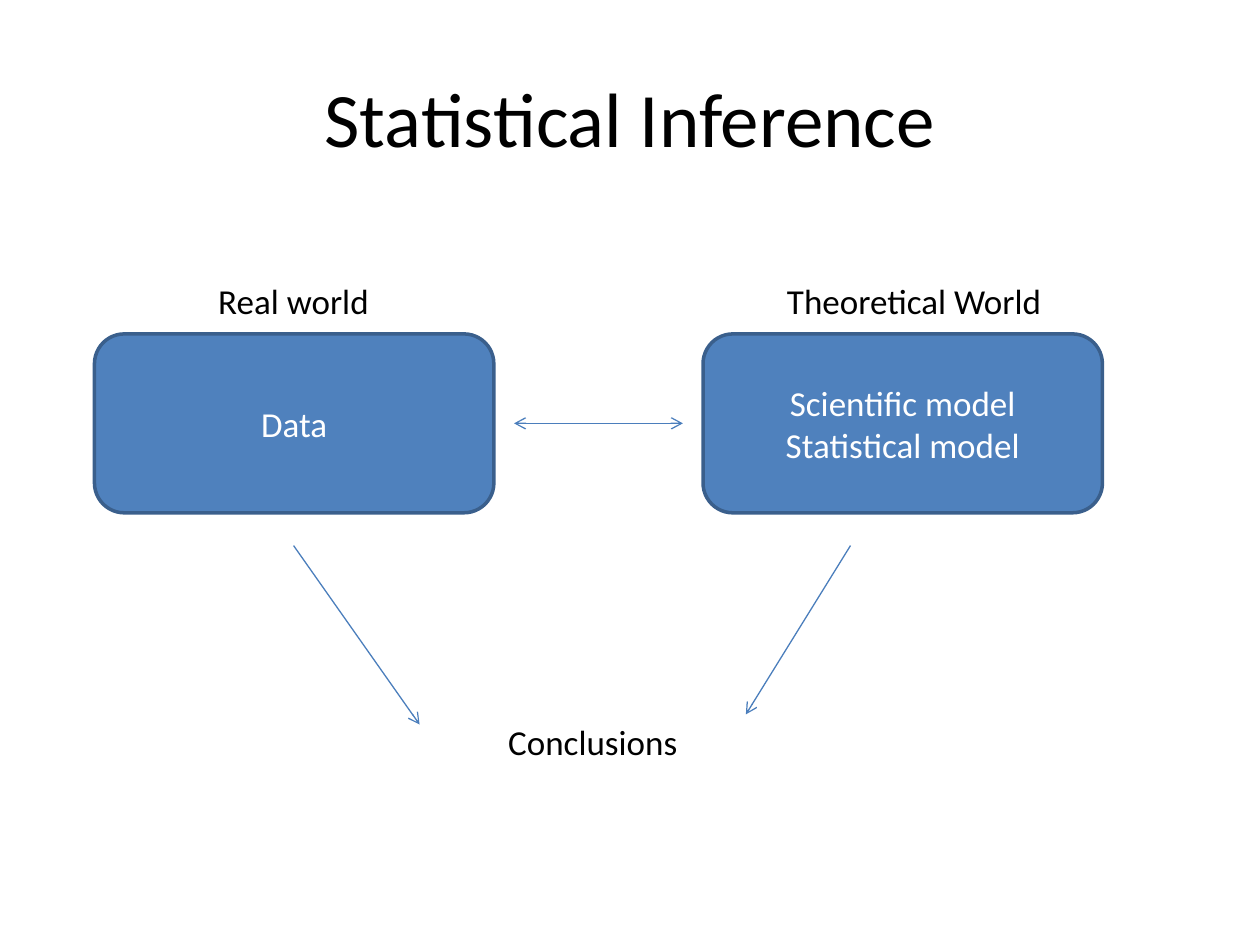
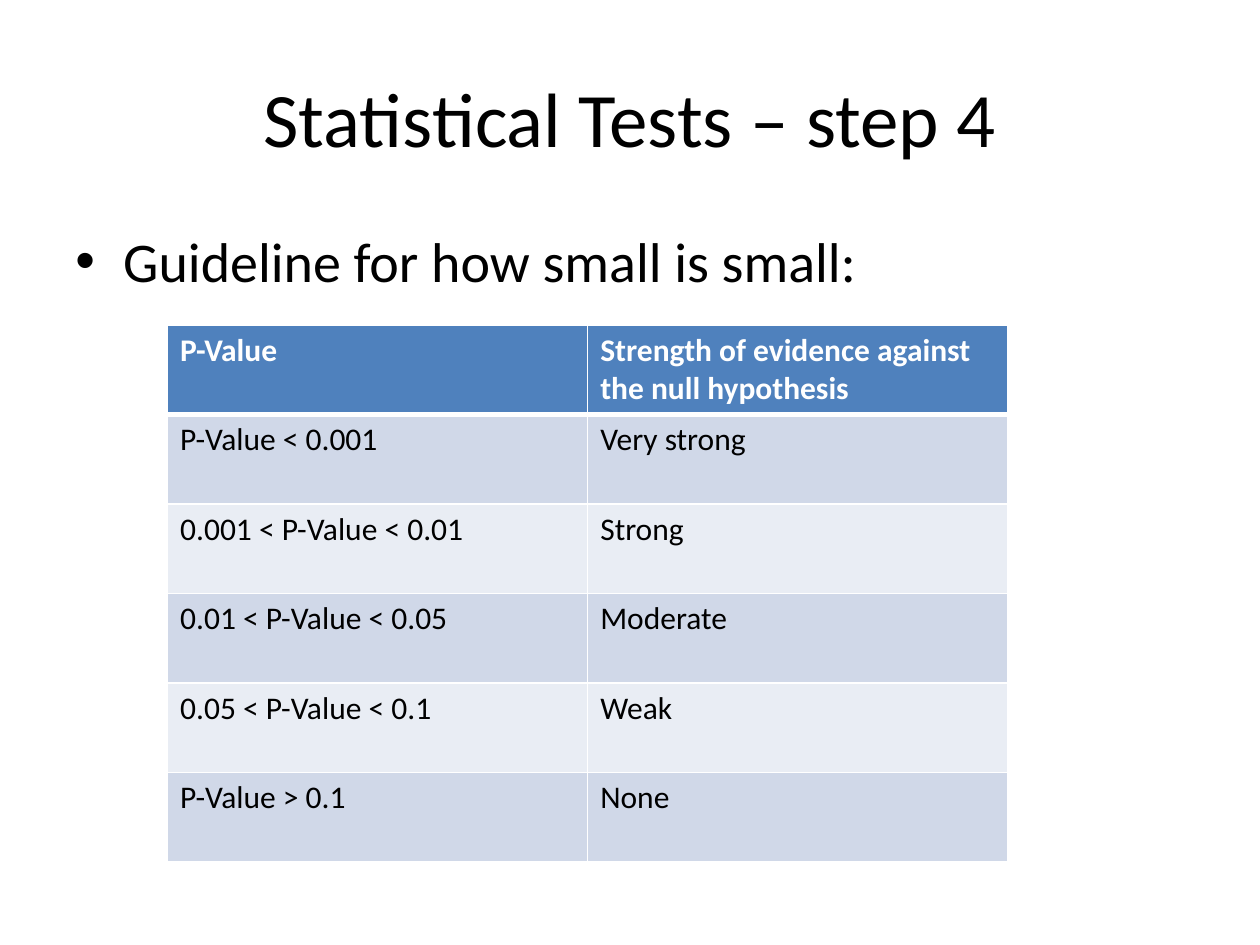
from lxml import etree
from pptx import Presentation
from pptx.dml.color import RGBColor
from pptx.enum.shapes import MSO_CONNECTOR, MSO_SHAPE
from pptx.enum.text import MSO_ANCHOR, PP_ALIGN
from pptx.oxml.ns import qn
from pptx.util import Inches, Pt

STRAIGHT = MSO_CONNECTOR.STRAIGHT
ROUNDED = MSO_SHAPE.ROUNDED_RECTANGLE
MIDDLE, TOP = MSO_ANCHOR.MIDDLE, MSO_ANCHOR.TOP
CENTER, LEFT = PP_ALIGN.CENTER, PP_ALIGN.LEFT

FONT = "Calibri"
BLACK = RGBColor(0x00, 0x00, 0x00)
WHITE = RGBColor(0xFF, 0xFF, 0xFF)
BLUE = RGBColor(0x4F, 0x81, 0xBD)
DARK_BLUE = RGBColor(0x3A, 0x5F, 0x8C)
ARROW_BLUE = RGBColor(0x4B, 0x7E, 0xBC)
BANDS = (RGBColor(0xD0, 0xD8, 0xE8), RGBColor(0xE9, 0xED, 0xF4))

BOX_TOP, BOX_WIDTH, BOX_HEIGHT = 2.65, 3.17, 1.42
ROW_HEIGHT = 0.71
EVIDENCE = (
    ("P-Value", "Strength of evidence against the null hypothesis"),
    ("P-Value < 0.001", "Very strong"),
    ("0.001 < P-Value < 0.01", "Strong"),
    ("0.01 < P-Value < 0.05", "Moderate"),
    ("0.05 < P-Value < 0.1", "Weak"),
    ("P-Value > 0.1", "None"),
)


def write_text(frame, text, size, color=BLACK, align=CENTER, bold=False):
    """Fill a text frame, one paragraph to each line of text."""
    frame.word_wrap = True
    frame.text = text
    for paragraph in frame.paragraphs:
        paragraph.alignment = align
        font = paragraph.font
        font.name, font.size, font.bold = FONT, Pt(size), bold
        font.color.rgb = color


def add_text(slide, text, left, top, width, height, size=20, anchor=TOP, align=CENTER):
    """Add a text box and return its text frame."""
    shape = slide.shapes.add_textbox(
        Inches(left), Inches(top), Inches(width), Inches(height))
    write_text(shape.text_frame, text, size, align=align)
    shape.text_frame.vertical_anchor = anchor
    return shape.text_frame


def add_titled_slide(presentation, title):
    """Add a blank slide with the shared title style."""
    slide = presentation.slides.add_slide(presentation.slide_layouts[6])
    add_text(slide, title, 0.5, 0.3, 9, 1.25, size=44, anchor=MIDDLE)
    return slide


def add_box(slide, text, left):
    """Add a rounded blue box in the row of worlds."""
    shape = slide.shapes.add_shape(
        ROUNDED, Inches(left), Inches(BOX_TOP), Inches(BOX_WIDTH), Inches(BOX_HEIGHT))
    shape.shadow.inherit = False
    shape.fill.solid()
    shape.fill.fore_color.rgb = BLUE
    shape.line.color.rgb = DARK_BLUE
    shape.line.width = Pt(2)
    write_text(shape.text_frame, text, 20, WHITE)
    shape.text_frame.vertical_anchor = MIDDLE


def add_arrow(slide, start, end, ends=("tailEnd",)):
    """Add a thin line with open arrowheads at the named ends."""
    connector = slide.shapes.add_connector(STRAIGHT, *map(Inches, start + end))
    connector.line.color.rgb = ARROW_BLUE
    connector.line.width = Pt(0.75)
    properties = connector._element.spPr
    for name in ends:
        etree.SubElement(properties.find(qn("a:ln")), qn("a:" + name), type="arrow")
    etree.SubElement(properties, qn("a:effectLst"))


def add_bullet(paragraph, indent):
    """Give a paragraph a round bullet with a hanging indent."""
    properties = paragraph._p.get_or_add_pPr()
    properties.set("marL", str(Inches(indent)))
    properties.set("indent", str(-Inches(indent)))
    etree.SubElement(properties, qn("a:buFont"), typeface="Arial")
    etree.SubElement(properties, qn("a:buChar"), char="•")
    defaults = properties.find(qn("a:defRPr"))
    if defaults is not None:
        properties.append(defaults)


def add_border(cell, side, width):
    """Add a white border to one side of a cell."""
    line = etree.SubElement(
        cell._tc.get_or_add_tcPr(), qn("a:ln" + side), w=str(Pt(width)))
    fill = etree.SubElement(line, qn("a:solidFill"))
    etree.SubElement(fill, qn("a:srgbClr"), val=str(WHITE))


def add_evidence_table(slide, rows, left, top, width):
    """Add a table with a blue header and banded rows."""
    table = slide.shapes.add_table(
        len(rows), len(rows[0]), Inches(left), Inches(top),
        Inches(width), Inches(ROW_HEIGHT * len(rows))).table
    for row_index, texts in enumerate(rows):
        header = row_index == 0
        for column_index, text in enumerate(texts):
            cell = table.cell(row_index, column_index)
            write_text(cell.text_frame, text, 18, WHITE if header else BLACK, LEFT, header)
            add_border(cell, "L", 1)
            add_border(cell, "R", 1)
            add_border(cell, "T", 3 if row_index == 1 else 1)
            add_border(cell, "B", 3 if header else 1)
            cell.fill.solid()
            cell.fill.fore_color.rgb = BLUE if header else BANDS[(row_index - 1) % 2]


def build_inference_slide(presentation):
    """Build the diagram of the real and theoretical worlds."""
    slide = add_titled_slide(presentation, "Statistical Inference")
    add_box(slide, "Data", 0.75)
    add_box(slide, "Scientific model\nStatistical model", 5.58)
    add_text(slide, "Real world", 1.08, 2.17, 2.5, 0.44)
    add_text(slide, "Theoretical World", 5.92, 2.17, 2.67, 0.44)
    middle = BOX_TOP + BOX_HEIGHT / 2
    add_arrow(slide, (4.08, middle), (5.42, middle), ("headEnd", "tailEnd"))
    add_arrow(slide, (6.75, 4.33), (5.92, 5.67))
    add_arrow(slide, (2.33, 4.33), (3.33, 5.75))
    add_text(slide, "Conclusions", 3.58, 5.67, 2.25, 0.44)


def build_tests_slide(presentation):
    """Build the guideline for reading p-values."""
    slide = add_titled_slide(presentation, "Statistical Tests – step 4")
    frame = add_text(slide, "Guideline for how small is small:",
                     0.5, 1.75, 9, 4.95, size=32, align=LEFT)
    frame.paragraphs[0].space_before = Pt(6.4)
    add_bullet(frame.paragraphs[0], 0.38)
    add_evidence_table(slide, EVIDENCE, 1.33, 2.58, 6.67)


def main():
    """Build and save the presentation."""
    presentation = Presentation()
    presentation.slide_width = Inches(10)
    presentation.slide_height = Inches(7.5)
    build_inference_slide(presentation)
    build_tests_slide(presentation)
    presentation.save("out.pptx")


main()
